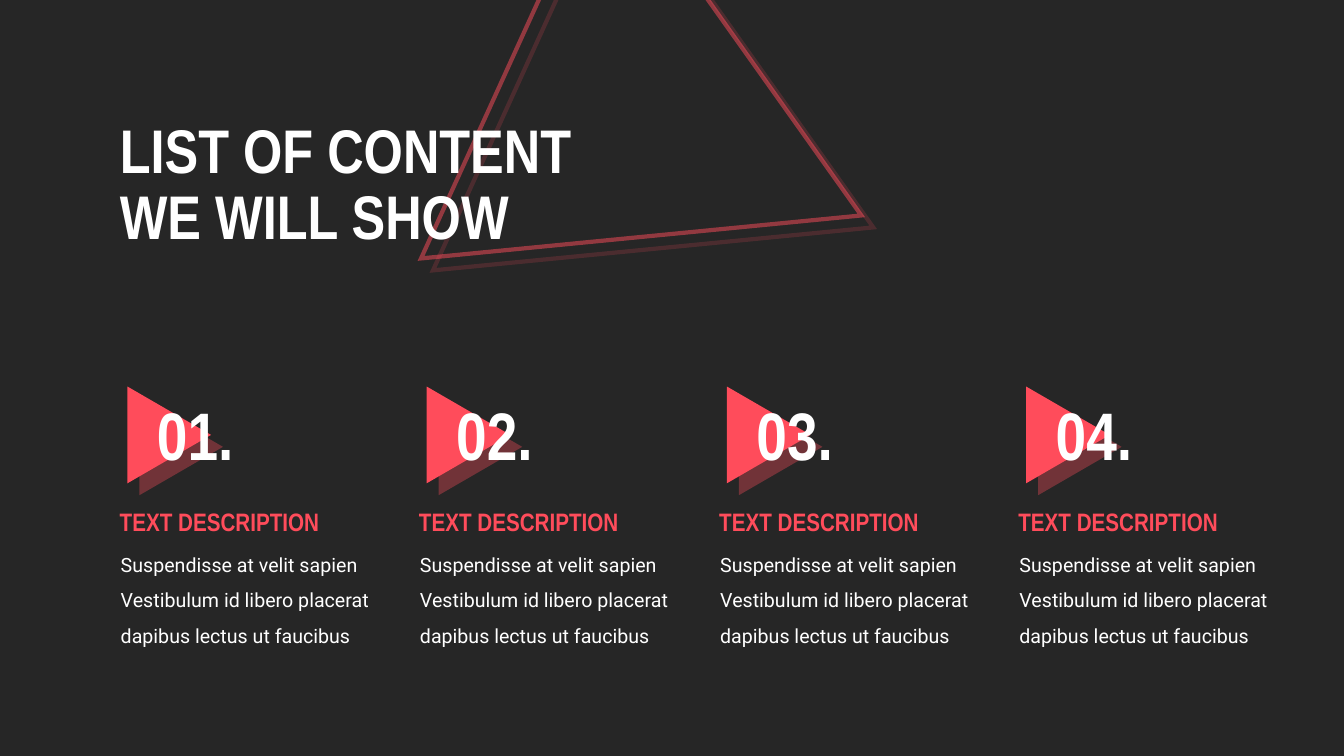
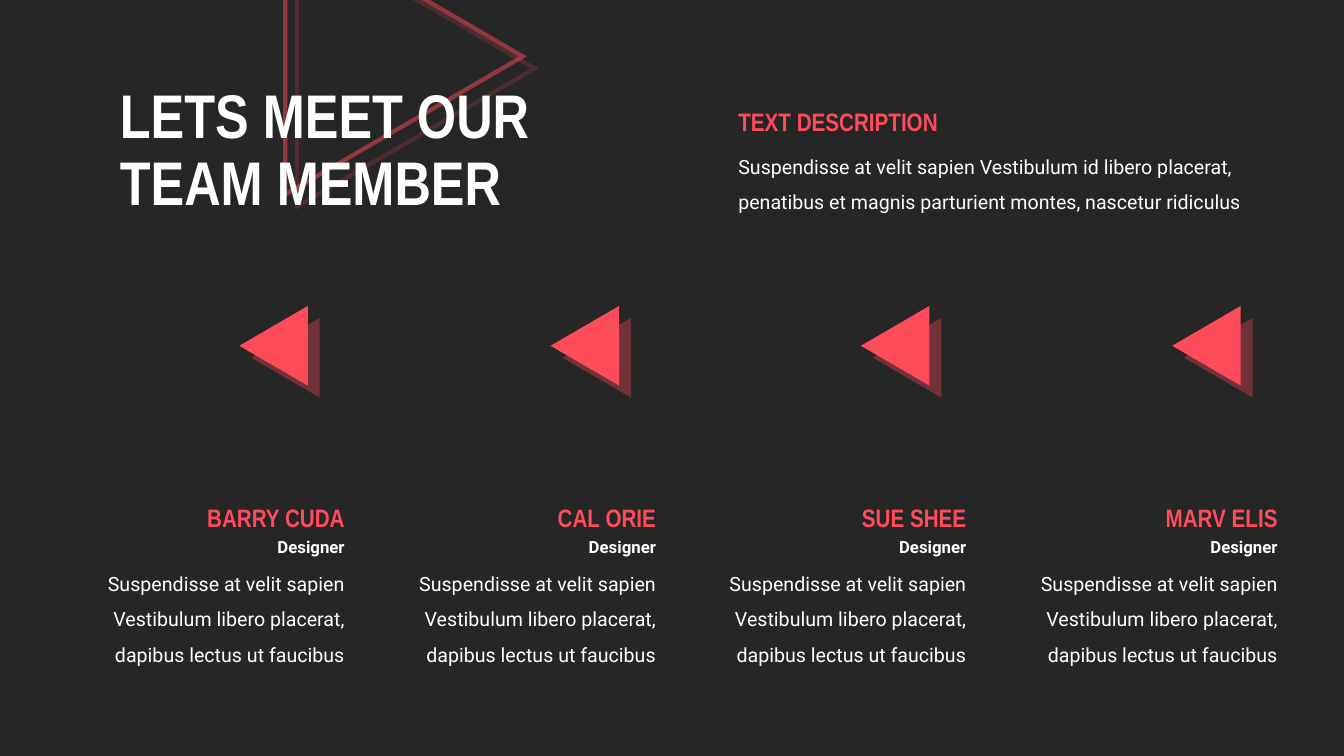
from dataclasses import dataclass
from typing import Any

from lxml.etree import SubElement
from pptx import Presentation
from pptx.dml.color import RGBColor
from pptx.enum.shapes import MSO_SHAPE
from pptx.enum.text import MSO_ANCHOR, MSO_AUTO_SIZE, PP_ALIGN
from pptx.oxml.ns import qn
from pptx.presentation import Presentation as Deck
from pptx.shapes.autoshape import Shape
from pptx.slide import Slide
from pptx.text.text import TextFrame
from pptx.util import Emu, Pt

PX = 9144  # 100 px to the inch
WIDTH, HEIGHT = 1334, 750
COLUMNS = 4

DARK = RGBColor(0x26, 0x26, 0x26)
CORAL = RGBColor(0xFF, 0x4C, 0x5B)
WHITE = RGBColor(0xFF, 0xFF, 0xFF)

NARROW = "Arial Narrow"
ROBOTO = "Roboto"


@dataclass(frozen=True)
class Box:
    left: int
    top: int
    width: int
    height: int

    def shifted(self, dx: int) -> "Box":
        return Box(self.left + dx, self.top, self.width, self.height)

    def emu(self) -> tuple[Emu, ...]:
        return tuple(Emu(n * PX) for n in (self.left, self.top, self.width, self.height))


@dataclass(frozen=True)
class Style:
    size: int
    name: str
    color: RGBColor = WHITE
    bold: bool = False
    line_spacing: float = 1.0


@dataclass(frozen=True)
class Member:
    name: str
    role: str
    about: str


TITLE = Style(44, NARROW, bold=True, line_spacing=0.9)
NUMBER = Style(48, NARROW, bold=True)
HEADING = Style(18, NARROW, CORAL, bold=True)
ROLE = Style(12, ROBOTO, bold=True)
BODY = Style(14, ROBOTO, line_spacing=1.5)

DESCRIPTION = "TEXT DESCRIPTION"
TOPIC = ("Suspendisse at velit sapien Vestibulum id libero placerat "
         "dapibus lectus ut faucibus")
INTRO = ("Suspendisse at velit sapien Vestibulum id libero placerat, "
         "penatibus et magnis parturient montes, nascetur ridiculus")
ABOUT = ("Suspendisse at velit sapien Vestibulum libero placerat, "
         "dapibus lectus ut faucibus")
MEMBERS = [Member(name, "Designer", ABOUT)
           for name in ("BARRY CUDA", "CAL ORIE", "SUE SHEE", "MARV ELIS")]


def set_values(target: Any, values: dict[str, Any]) -> None:
    for key, value in values.items():
        setattr(target, key, value)


def write(tf: TextFrame, lines: list[str], style: Style,
          align: PP_ALIGN = PP_ALIGN.LEFT) -> None:
    """Fill the frame with one paragraph, broken between the lines."""
    tf.word_wrap = True
    p = tf.paragraphs[0]
    set_values(p, {"alignment": align, "line_spacing": style.line_spacing})
    for i, line in enumerate(lines):
        if i:
            p.add_line_break()
        r = p.add_run()
        r.text = line
        set_values(r.font, {"size": Pt(style.size), "name": style.name,
                            "bold": style.bold})
        r.font.color.rgb = style.color


def add_text(slide: Slide, box: Box, text: str, style: Style,
             align: PP_ALIGN = PP_ALIGN.LEFT) -> None:
    tf = slide.shapes.add_textbox(*box.emu()).text_frame
    write(tf, [text], style, align)
    tf.auto_size = MSO_AUTO_SIZE.SHAPE_TO_FIT_TEXT


def add_triangle(slide: Slide, box: Box, rotation: float, outlined: bool = False) -> Shape:
    """Add a coral triangle, filled or outlined, with a hard shadow to the lower right."""
    sp = slide.shapes.add_shape(MSO_SHAPE.ISOSCELES_TRIANGLE, *box.emu())
    sp.rotation = rotation
    sp.shadow.inherit = False
    spPr = sp.element.spPr
    if outlined:
        sp.fill.background()
        sp.line.width = Pt(3)
        sp.line.color.rgb = CORAL
        ln = spPr.find(qn("a:ln"))
        SubElement(next(ln.iter(qn("a:srgbClr"))), qn("a:alpha"), val="50000")
        SubElement(ln, qn("a:miter"), lim="800000")
    else:
        sp.fill.solid()
        sp.fill.fore_color.rgb = CORAL
        sp.line.fill.background()
    shadow = SubElement(spPr.find(qn("a:effectLst")), qn("a:outerShdw"), blurRad="0",
                        dist=str(Pt(12.1)), dir="2700000", algn="tl", rotWithShape="0")
    color = SubElement(shadow, qn("a:srgbClr"), val=str(CORAL))
    SubElement(color, qn("a:alpha"), val="35000")
    return sp


def add_titled_slide(prs: Deck, lines: list[str], top: int,
                     backdrop: Box, rotation: float) -> Slide:
    """Add a slide with a two-line title over an outlined triangle."""
    slide = prs.slides.add_slide(prs.slide_layouts.get_by_name("Title Only"))
    title = slide.shapes.title
    left, top, width, height = Box(109, top, 562, 158).emu()
    set_values(title, {"left": left, "top": top, "width": width, "height": height})
    tf = title.text_frame
    set_values(tf, {"vertical_anchor": MSO_ANCHOR.MIDDLE, "auto_size": MSO_AUTO_SIZE.NONE})
    write(tf, lines, TITLE)
    triangle = add_triangle(slide, backdrop, rotation, outlined=True)
    title.element.addprevious(triangle.element)
    return slide


def column_shifts(span: int) -> list[int]:
    """Spread the columns evenly from 0 to span."""
    return [round(i * span / (COLUMNS - 1)) for i in range(COLUMNS)]


def build_contents(prs: Deck) -> None:
    slide = add_titled_slide(prs, ["LIST OF CONTENT", "WE WILL SHOW"], 106,
                             Box(462, -55, 440, 380), 114.5)
    for number, dx in enumerate(column_shifts(892), 1):
        add_triangle(slide, Box(120, 390, 96, 83).shifted(dx), 90)
        add_text(slide, Box(146, 385, 132, 90).shifted(dx), f"{number:02}.", NUMBER)
        add_text(slide, Box(110, 532, 281, 115).shifted(dx), TOPIC, BODY)
        add_text(slide, Box(109, 497, 245, 70).shifted(dx), DESCRIPTION, HEADING)


def build_team(prs: Deck) -> None:
    slide = add_titled_slide(prs, ["LETS MEET OUR", "TEAM MEMBER"], 72,
                             Box(264, -62, 274, 236), 90)
    for member, dx in zip(MEMBERS, column_shifts(926)):
        for box, text, style in (
            (Box(68, 551, 284, 115), member.about, BODY),
            (Box(167, 493, 185, 40), member.name, HEADING),
            (Box(248, 528, 104, 30), member.role, ROLE),
        ):
            add_text(slide, box.shifted(dx), text, style, PP_ALIGN.RIGHT)
        add_triangle(slide, Box(232, 309, 79, 68).shifted(dx), 270)
    add_text(slide, Box(723, 137, 555, 80), INTRO, BODY)
    add_text(slide, Box(723, 101, 245, 70), DESCRIPTION, HEADING)


def main() -> None:
    prs = Presentation()
    set_values(prs, {"slide_width": Emu(WIDTH * PX), "slide_height": Emu(HEIGHT * PX)})
    fill = prs.slide_master.background.fill
    fill.solid()
    fill.fore_color.rgb = DARK
    build_contents(prs)
    build_team(prs)
    prs.save("out.pptx")


if __name__ == "__main__":
    main()
